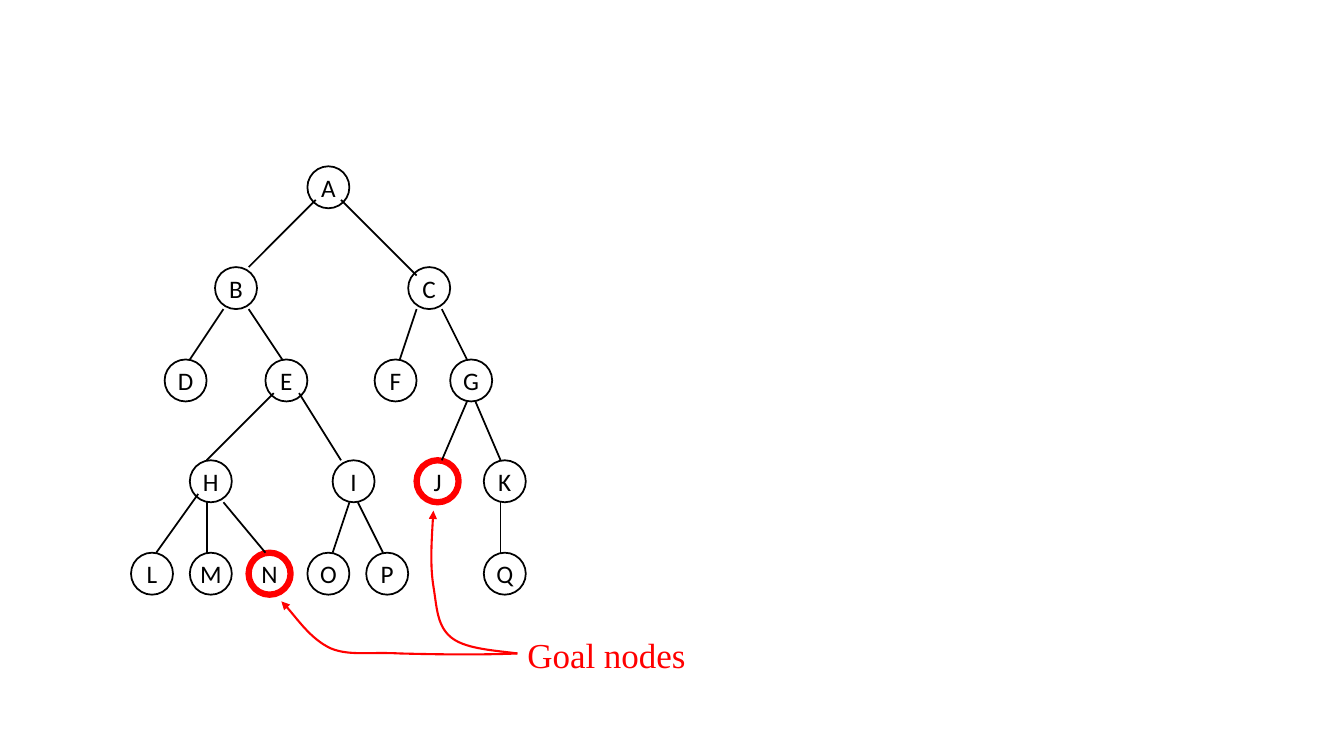
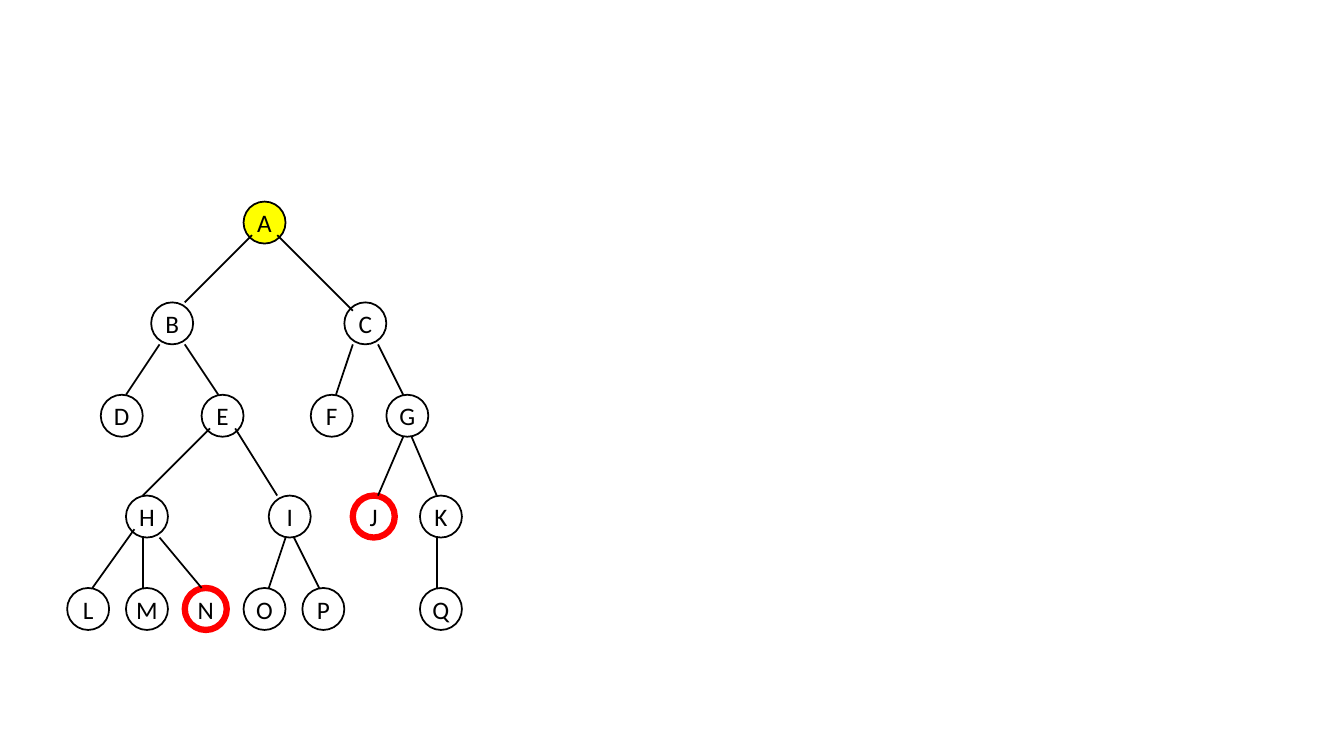
from lxml.etree import SubElement
from pptx import Presentation
from pptx.dml.color import RGBColor
from pptx.enum.shapes import MSO_CONNECTOR as Connector, MSO_SHAPE as Preset
from pptx.enum.text import MSO_ANCHOR as Anchor, PP_ALIGN as Align
from pptx.oxml.ns import qn
from pptx.util import Inches, Pt

COLORS = {"ink": "000000", "goal": "FF0000", "visited": "FFFF00"}
STEP = Inches(1 / 12)
COLUMNS, ROWS = 160, 90
NODE_SIZE = 5

LEVELS = {
    0: {"A": 21},
    12: {"B": 10, "C": 33},
    23: {"D": 4, "E": 16, "F": 29, "G": 38},
    35: {"H": 7, "I": 24, "J": 34, "K": 42},
    46: {"L": 0, "M": 7, "N": 14, "O": 21, "P": 28, "Q": 42},
}
GOALS = "JN"
EDGES = [
    (22, 4, 14, 12), (25, 4, 34, 13),
    (11, 17, 7, 23), (14, 17, 18, 23), (34, 17, 32, 23), (37, 17, 40, 23),
    (17, 27, 9, 35), (20, 27, 25, 35), (40, 28, 37, 35), (41, 28, 44, 35),
    (8, 39, 3, 46), (9, 40, 9, 46), (11, 40, 16, 46),
    (26, 40, 24, 46), (27, 40, 30, 46), (44, 40, 44, 46),
]
GOAL_LABEL = (46, 55, 24, 6.2)
ARROW_START = (46, 58)
GOAL_ARROWS = [
    [(41.3, 58.2), (35.6, 58.1), (32, 58),
     (28.3, 57.8), (26, 58.3), (23.8, 57.4),
     (21.4, 56.3), (19.1, 52.9), (17.9, 51.8)],
    [(42.8, 57.6), (39.6, 57.4), (38, 56),
     (36.4, 54.6), (36.4, 52.4), (36, 50),
     (35.6, 47.5), (35.8, 44.3), (36, 41)],
]
SLIDES = [
    {"origin": (15.6, 19.8), "visited": "", "goal_label": "Goal nodes"},
    {"origin": (8, 24), "visited": "A", "goal_label": ""},
]


def set_line(shape, color, width):
    shape.line.color.rgb = RGBColor.from_string(COLORS[color])
    shape.line.width = Pt(width)


def add_span(para, text, font, size, color):
    span = para.add_run()
    span.text = text
    span.font.name = font
    span.font.size = Pt(size)
    span.font.color.rgb = RGBColor.from_string(COLORS[color])


deck = Presentation()
deck.slide_width = STEP * COLUMNS
deck.slide_height = STEP * ROWS

for plan in SLIDES:
    page = deck.slides.add_slide(deck.slide_layouts[6])
    tree = page.shapes.add_group_shape().shapes
    left, top = plan["origin"]

    for row, nodes in LEVELS.items():
        for letter, column in nodes.items():
            node = tree.add_shape(
                Preset.OVAL, int((left + column) * STEP), int((top + row) * STEP),
                NODE_SIZE * STEP, NODE_SIZE * STEP)
            node.shadow.inherit = False
            if letter in plan["visited"]:
                node.fill.solid()
                node.fill.fore_color.rgb = RGBColor.from_string(COLORS["visited"])
            else:
                node.fill.background()
            if letter in GOALS:
                set_line(node, "goal", 4.5)
            else:
                set_line(node, "ink", 1.25)
            node.text_frame.word_wrap = False
            node.text_frame.vertical_anchor = Anchor.MIDDLE
            para = node.text_frame.paragraphs[0]
            para.alignment = Align.CENTER
            add_span(para, letter, "Calibri", 18, "ink")

    for x1, y1, x2, y2 in EDGES:
        edge = tree.add_connector(
            Connector.STRAIGHT,
            int((left + x1) * STEP), int((top + y1) * STEP),
            int((left + x2) * STEP), int((top + y2) * STEP))
        set_line(edge, "ink", 1.25)
        SubElement(edge._element.spPr, qn("a:effectLst"))

    if plan["goal_label"]:
        column, row, width, height = GOAL_LABEL
        box = tree.add_textbox(
            int((left + column) * STEP), int((top + row) * STEP),
            int(width * STEP), int(height * STEP))
        box.text_frame.word_wrap = True
        para = box.text_frame.paragraphs[0]
        para.space_before = Pt(3)
        add_span(para, plan["goal_label"], "Times New Roman", 25, "goal")

        for curve in GOAL_ARROWS:
            points = [(int((left + x) * STEP), int((top + y) * STEP))
                      for x, y in [ARROW_START] + curve]
            builder = tree.build_freeform(*points[0])
            builder.add_line_segments(points[1:], close=False)
            arrow = builder.convert_to_shape()
            arrow.shadow.inherit = False
            arrow.fill.background()
            set_line(arrow, "goal", 1.5)
            SubElement(arrow.line._get_or_add_ln(), qn("a:tailEnd"), type="triangle")
            outline = next(arrow._element.iter(qn("a:path")))
            segments = outline.findall(qn("a:lnTo"))
            for first in range(0, len(segments), 3):
                bezier = SubElement(outline, qn("a:cubicBezTo"))
                for segment in segments[first:first + 3]:
                    bezier.append(segment[0])
                    outline.remove(segment)

deck.save("out.pptx")
